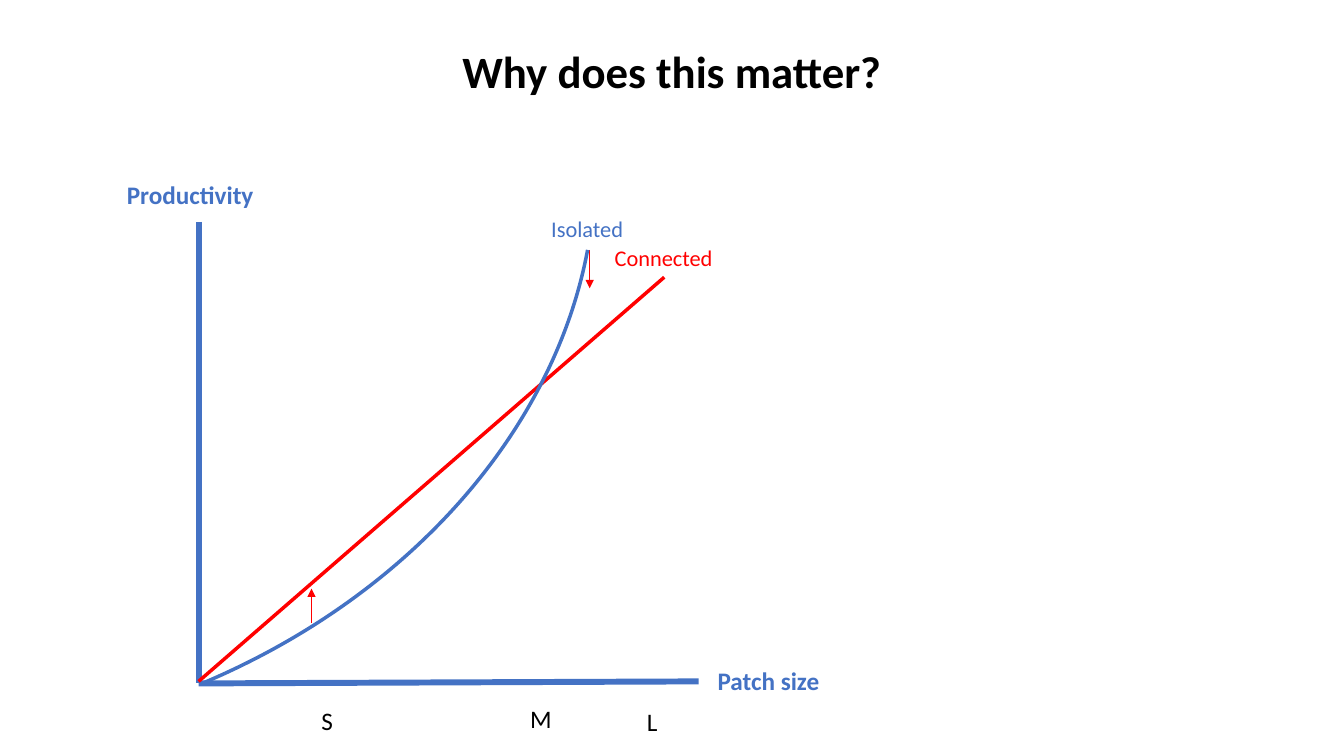
from dataclasses import dataclass

from lxml.etree import SubElement
from pptx import Presentation
from pptx.dml.color import RGBColor
from pptx.enum.shapes import MSO_CONNECTOR, MSO_SHAPE
from pptx.enum.text import MSO_AUTO_SIZE, PP_ALIGN
from pptx.oxml.ns import qn
from pptx.util import Inches, Pt


@dataclass(frozen=True)
class Theme:
    """Font, colours, type sizes and line weights of the slide."""
    font: str = "Calibri"
    blue: RGBColor = RGBColor(0x44, 0x72, 0xC4)
    red: RGBColor = RGBColor(0xFF, 0x00, 0x00)
    black: RGBColor = RGBColor(0x00, 0x00, 0x00)
    title: int = 32
    label: int = 18
    curve_name: int = 16
    axis: float = 4.25
    curve: float = 2.5
    arrow: float = 0.5


def grid(*cells):
    """Turn counts of grid columns or rows, ten to the inch, into lengths."""
    return [Inches(cell / 10) for cell in cells]


theme = Theme()
COLUMNS, ROWS = 133.33, 75
deck = Presentation()
deck.slide_width, deck.slide_height = grid(COLUMNS, ROWS)
page = deck.slides.add_slide(deck.slide_layouts[6])

# Axes, connected line and shift arrows: start, end, colour, weight, arrowhead
origin_x, axis_y = 19.7, 67.8
lines = [
    ((origin_x, 22), (origin_x, axis_y), theme.blue, theme.axis, False),
    ((69.3, 67.6), (origin_x, axis_y), theme.blue, theme.axis, False),
    ((30.9, 61.8), (30.9, 58.4), theme.red, theme.arrow, True),
    ((origin_x, 67.6), (65.9, 27.5), theme.red, theme.curve, False),
    ((58.5, 24.8), (58.5, 28.6), theme.red, theme.arrow, True),
]
for start, end, color, weight, has_head in lines:
    line = page.shapes.add_connector(MSO_CONNECTOR.STRAIGHT, *grid(*start, *end))
    line.line.color.rgb = color
    line.line.width = Pt(weight)
    properties = line._element.spPr
    if has_head:
        SubElement(properties.find(qn("a:ln")), qn("a:tailEnd"), type="triangle")
    SubElement(properties, qn("a:effectLst"))

# Isolated curve: python-pptx scales arc angles by 0.6 per degree
isolated = page.shapes.add_shape(MSO_SHAPE.ARC, *grid(-54.8, -41.4, 102.2, 126.8))
isolated.rotation = 76
for index, degrees in enumerate((286.58, 346.5)):
    isolated.adjustments[index] = degrees * 0.6
isolated.shadow.inherit = False
isolated.fill.background()
isolated.line.color.rgb = theme.blue
isolated.line.width = Pt(theme.curve)

# Text styles and the labels that use them: wording, left, top, width, height
styles = {
    "title": dict(size=Pt(theme.title), bold=True, color=theme.black),
    "axis": dict(size=Pt(theme.label), bold=True, color=theme.blue),
    "patch": dict(size=Pt(theme.label), bold=False, color=theme.black),
    "isolated": dict(size=Pt(theme.curve_name), bold=False, color=theme.blue),
    "connected": dict(size=Pt(theme.curve_name), bold=False, color=theme.red),
}
labels = [
    ("Productivity", "axis", (11.6, 17.3, 18.1, 4)),
    ("Patch size", "axis", (70.2, 65.5, 12.8, 4)),
    ("Isolated", "isolated", (53.7, 20.9, 9.5, 3.7)),
    ("Connected", "connected", (60, 23.7, 21.9, 3.7)),
    ("L", "patch", (63.2, 69.6, 4.3, 4)),
    ("M", "patch", (51.6, 69.3, 4.3, 4)),
    ("S", "patch", (30.9, 69.5, 4.3, 4)),
    ("Why does this matter?", "title", (0, 3.8, COLUMNS, 6.4)),
]
for wording, style, place in labels:
    box = page.shapes.add_textbox(*grid(*place))
    box.text_frame.word_wrap = True
    box.text_frame.auto_size = MSO_AUTO_SIZE.SHAPE_TO_FIT_TEXT
    para = box.text_frame.paragraphs[0]
    para.alignment = PP_ALIGN.CENTER if style == "title" else PP_ALIGN.LEFT
    span = para.add_run()
    span.text = wording
    span.font.name = theme.font
    for attribute, value in styles[style].items():
        if attribute == "color":
            span.font.color.rgb = value
        else:
            setattr(span.font, attribute, value)

deck.save("out.pptx")
